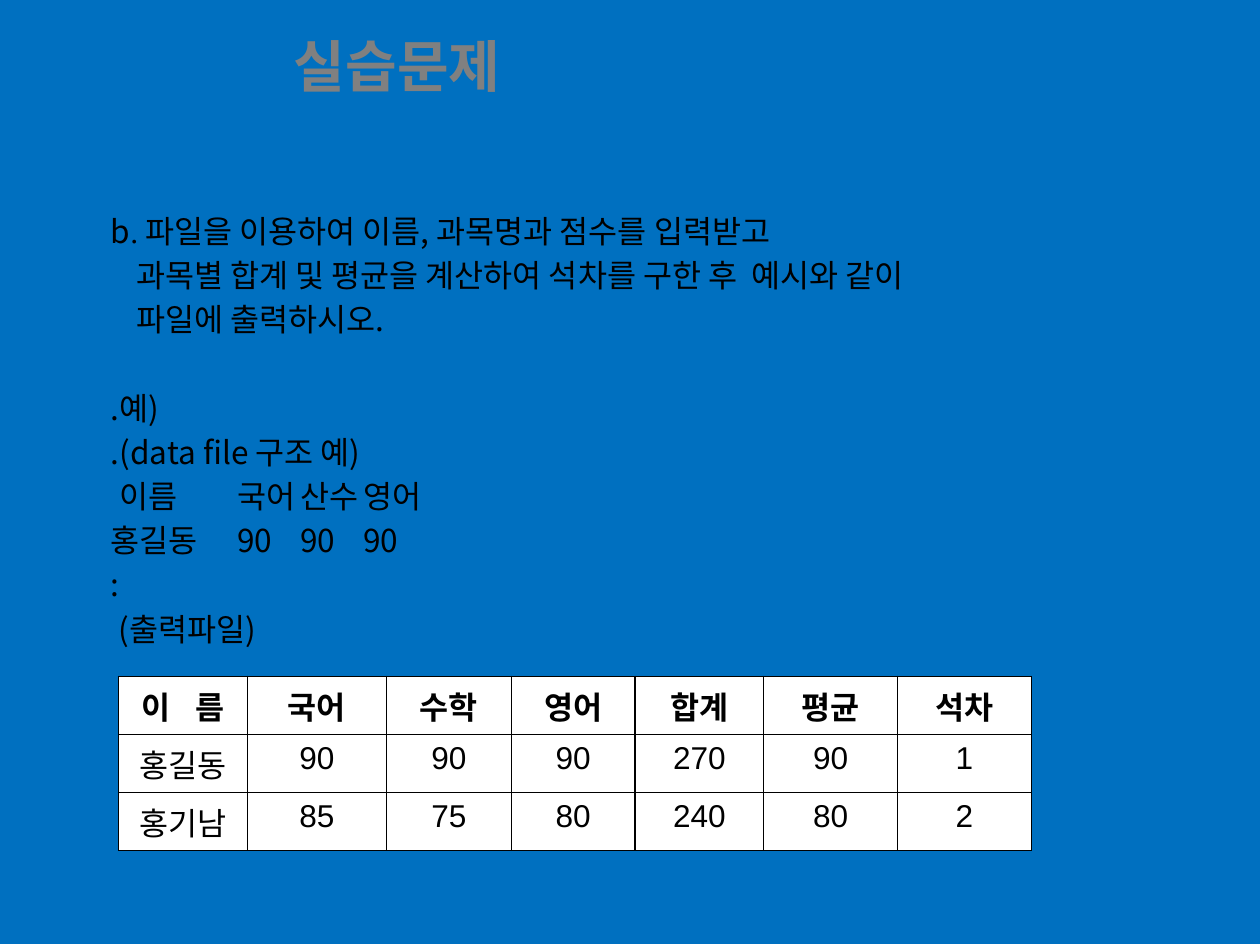
from lxml import etree
from pptx import Presentation
from pptx.dml.color import RGBColor
from pptx.enum.text import PP_ALIGN
from pptx.oxml.ns import qn
from pptx.util import Inches, Pt

CENTER = PP_ALIGN.CENTER
COLORS = {"background": "0070C0", "title": "808080", "text": "000000", "cell": "FFFFFF"}
KOREAN = "Noto Sans CJK KR"


def add_run(p, text, font, size=18, color="text", bold=False):
    r = p.add_run()
    r.text = text
    r.font.name = font
    r.font.size = Pt(size)
    r.font.bold = bold
    r.font.color.rgb = RGBColor.from_string(COLORS[color])
    rPr = r.font._element
    if font == KOREAN:
        etree.SubElement(rPr, qn("a:ea"), typeface=font)
    return rPr


def add_text_box(left, top, width, height):
    tf = slide.shapes.add_textbox(Inches(left), Inches(top), Inches(width), Inches(height)).text_frame
    tf.word_wrap = True
    return tf


prs = Presentation()
prs.slide_width, prs.slide_height = Inches(9.98), Inches(7.48)
slide = prs.slides.add_slide(prs.slide_layouts[6])
slide.background.fill.solid()
slide.background.fill.fore_color.rgb = RGBColor.from_string(COLORS["background"])

# Exercise text: runs, first-line indent, tab stops, space before
LINE, GAP = 21.6, 3.6
lines = [
    ([("b", KOREAN), (".", "Times New Roman"), (" 파일을 이용하여 이름, 과목명과 점수를 입력받고", KOREAN)], 0, [], GAP),
    ([("과목별 합계 및 평균을 계산하여 석차를 구한 후  예시와 같이", KOREAN)], 0.2, [], GAP),
    ([("파일에 출력하시오.", KOREAN)], 0.2, [], GAP),
    ([(".예)", KOREAN)], 0, [], LINE + 2 * GAP),
    ([(".(data file 구조 예)", KOREAN)], 0, [], GAP),
    ([("이름\t국어\t산수\t영어", KOREAN)], 0.07, [0.74, 1.41, 2.08], GAP),
    ([("홍길동\t90\t90\t90", KOREAN)], 0, [0.88, 1.44, 2], GAP),
    ([(":", KOREAN)], 0, [], GAP),
    ([("(출력파일)", KOREAN)], 0.06, [], GAP),
]
tf = add_text_box(0.78, 1.63, 8.52, 5.59)
for i, (runs, indent, stops, before) in enumerate(lines):
    p = tf.add_paragraph() if i else tf.paragraphs[0]
    p.line_spacing = Pt(LINE)
    p.space_before = Pt(before)
    pPr = p._p.get_or_add_pPr()
    pPr.set("marL", "0")
    pPr.set("indent", str(Inches(indent)))
    if stops:
        tabs = etree.SubElement(pPr, qn("a:tabLst"))
        for stop in stops:
            etree.SubElement(tabs, qn("a:tab"), pos=str(Inches(stop)), algn="l")
    for text, font in runs:
        add_run(p, text, font)

# Score table
scores = [
    ["이 름", "국어", "수학", "영어", "합계", "평균", "석차"],
    ["홍길동", "90", "90", "90", "270", "90", "1"],
    ["홍기남", "85", "75", "80", "240", "80", "2"],
]
widths = [1.02, 1.1, 0.99, 0.98, 1.02, 1.06, 1.06]
row_height = 0.46
table = slide.shapes.add_table(len(scores), len(widths), Inches(0.94), Inches(5.36),
                               Inches(sum(widths)), Inches(row_height * len(scores))).table
table.first_row = table.horz_banding = False
for column, width in zip(table.columns, widths):
    column.width = Inches(width)
for i, row in enumerate(scores):
    table.rows[i].height = Inches(row_height)
    for j, text in enumerate(row):
        cell = table.cell(i, j)
        tcPr = cell._tc.get_or_add_tcPr()
        for side in ("lnL", "lnR", "lnT", "lnB"):
            ln = etree.SubElement(tcPr, qn(f"a:{side}"), w=str(Pt(1)))
            etree.SubElement(etree.SubElement(ln, qn("a:solidFill")), qn("a:srgbClr"), val=COLORS["text"])
        cell.fill.solid()
        cell.fill.fore_color.rgb = RGBColor.from_string(COLORS["cell"])
        p = cell.text_frame.paragraphs[0]
        p.alignment = CENTER
        rPr = add_run(p, text, "Arial", bold=i == 0)
        if " " in text:
            rPr.set("spc", "500")

# Title
p = add_text_box(2.23, 0.12, 2.68, 0.62).paragraphs[0]
p.line_spacing = Pt(44)
add_run(p, "실습문제", KOREAN, 32, "title", True)

prs.save("out.pptx")
